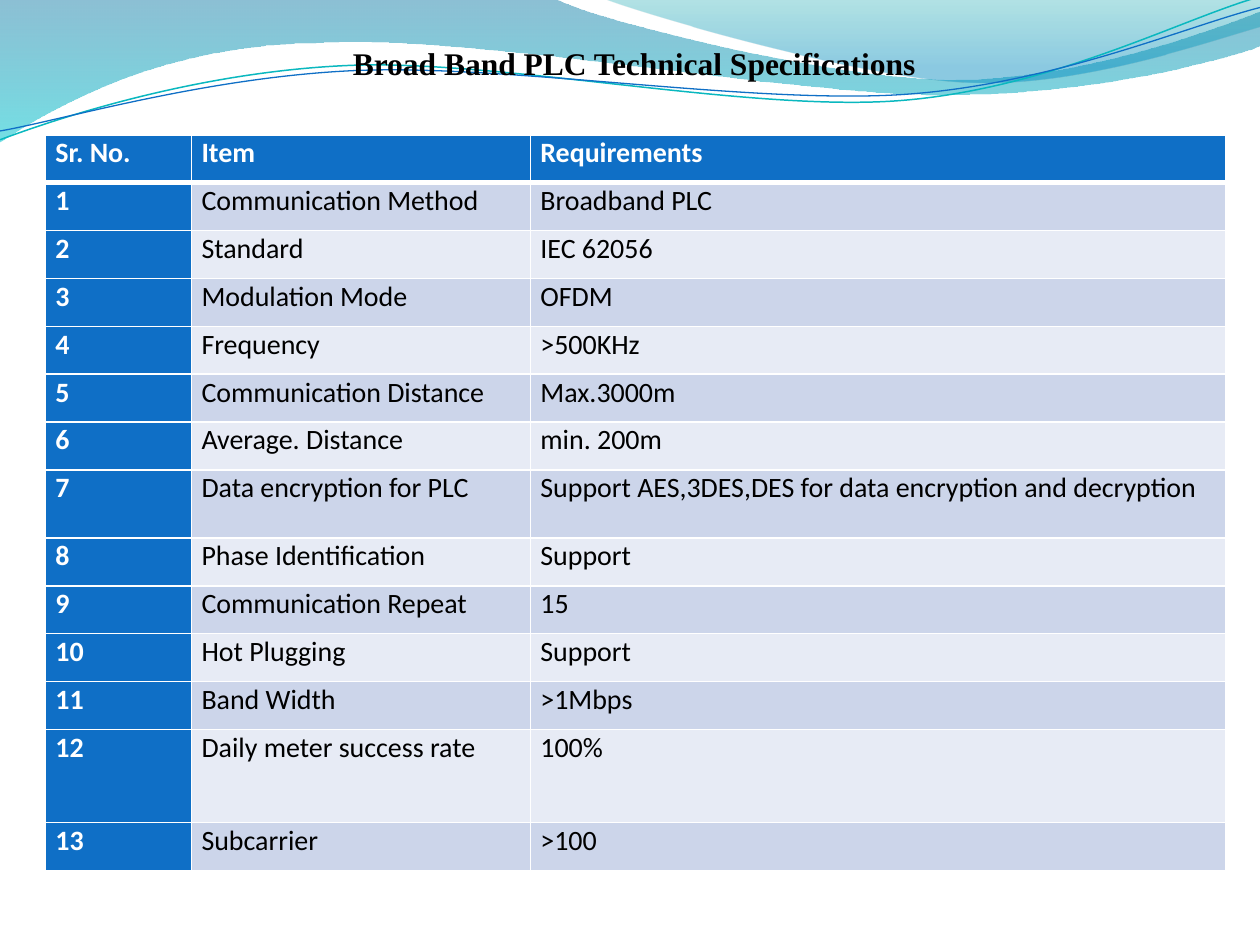
from math import cos, radians, sin

from lxml.etree import SubElement
from pptx import Presentation
from pptx.dml.color import RGBColor
from pptx.enum.text import MSO_AUTO_SIZE, PP_ALIGN
from pptx.oxml.ns import qn
from pptx.util import Inches, Pt

BLACK = RGBColor(0x00, 0x00, 0x00)
WHITE = RGBColor(0xFF, 0xFF, 0xFF)
BLUE = RGBColor(0x0F, 0x6F, 0xC6)
TEAL = RGBColor(0x0A, 0xB8, 0xBF)
BAND_DARK = RGBColor(0xCC, 0xD5, 0xEA)
BAND_LIGHT = RGBColor(0xE7, 0xEB, 0xF5)
WAVE_BLUE = RGBColor(0x00, 0x74, 0xA1)
WAVE_CYAN = RGBColor(0x00, 0xC6, 0xCF)
CREST_GREEN = RGBColor(0x00, 0xA1, 0xA9)
CREST_BLUE = RGBColor(0x00, 0x8B, 0xBF)

WAVE = [
    [(0, -0.01)],
    [(4.4, -0.01)],
    [(4.76, 0.17), (6.64, 0.63), (7.58, 0.63)],
    [(8.53, 0.63), (9.58, 0.26), (10, 0.09)],
    [(10.01, 0.36)],
    [(9.83, 0.44), (8.7, 0.76), (7.46, 0.75)],
    [(6.22, 0.75), (3.82, 0.28), (2.57, 0.34)],
    [(1.29, 0.35), (0.46, 0.83), (-0.01, 1.13)],
    [(0, -0.01)],
]
CREST = [
    [(4.79, -0.01)],
    [(5.09, 0.11), (6.82, 0.62), (7.69, 0.65)],
    [(8.56, 0.69), (9.61, 0.32), (10, 0.21)],
    [(10, 0)],
    [(4.79, -0.01)],
]
TEAL_STRAND = [
    [(0, 1.11)],
    [(0.48, 0.93), (1.58, 0.57), (2.77, 0.52)],
    [(3.95, 0.47), (5.93, 0.89), (7.13, 0.8)],
    [(8.33, 0.71), (9.38, 0.15), (9.98, -0.02)],
]
BLUE_STRAND = [
    [(0, 1.04)],
    [(0.47, 0.96), (1.64, 0.61), (2.83, 0.56)],
    [(4.03, 0.51), (5.97, 0.83), (7.17, 0.75)],
    [(8.36, 0.67), (9.41, 0.21), (10, 0.06)],
]
STRAND_TILT = 2.7
STRAND_CENTER = (5, 0.58)

HEADINGS = ("Sr. No.", "Item", "Requirements")
SPECIFICATIONS = [
    ("Communication Method", "Broadband PLC"),
    ("Standard", "IEC 62056"),
    ("Modulation Mode", "OFDM"),
    ("Frequency", ">500KHz"),
    ("Communication Distance", "Max.3000m"),
    ("Average. Distance", "min. 200m"),
    ("Data encryption for PLC", "Support AES,3DES,DES for data encryption and decryption"),
    ("Phase Identification", "Support"),
    ("Communication Repeat", "15"),
    ("Hot Plugging", "Support"),
    ("Band Width", ">1Mbps"),
    ("Daily meter success rate", "100%"),
    ("Subcarrier", ">100"),
]
COLUMN_WIDTHS = (1.16, 2.69, 5.52)
ROW_HEIGHT = 0.38
TALL_ROWS = {7: 0.54, 12: 0.74}


def set_all(target, values):
    for name, value in values.items():
        setattr(target, name, value)


def level(point):
    angle = radians(STRAND_TILT)
    x, y = (value - middle for value, middle in zip(point, STRAND_CENTER))
    return (STRAND_CENTER[0] + x * cos(angle) - y * sin(angle),
            STRAND_CENTER[1] + x * sin(angle) + y * cos(angle))


class SlideBuilder:
    title_font = {"name": "Times New Roman", "size": Pt(18), "bold": True}
    table_font = {"name": "Calibri", "size": Pt(16)}
    cell_margins = {"margin_left": Inches(0.08), "margin_right": Inches(0.07),
                    "margin_top": Inches(0.01), "margin_bottom": 0}

    def __init__(self, page):
        self.page = page

    def curve(self, segments, close):
        outline = [[(Inches(x), Inches(y)) for x, y in segment] for segment in segments]
        builder = self.page.shapes.build_freeform(*outline[0][0])
        builder.add_line_segments([segment[-1] for segment in outline[1:]], close=close)
        shape = builder.convert_to_shape()
        shape.shadow.inherit = False
        for straight, segment in zip(list(shape.element.iter(qn("a:lnTo"))), outline[1:]):
            if len(segment) == 3:
                straight.tag = qn("a:cubicBezTo")
                straight.clear()
                for x, y in segment:
                    SubElement(straight, qn("a:pt"), x=str(x - shape.left), y=str(y - shape.top))
        return shape

    def wave(self, segments, stops):
        shape = self.curve(segments, close=True)
        shape.line.fill.background()
        shape.fill.gradient()
        shape.fill.gradient_angle = 270
        for stop, (position, color, opacity) in zip(shape.fill.gradient_stops, stops):
            stop.position = position
            stop.color.rgb = color
        tints = shape.element.spPr.iter(qn("a:srgbClr"))
        for tint, (position, color, opacity) in zip(tints, stops):
            SubElement(tint, qn("a:alpha"), val=str(opacity * 1000))

    def strand(self, segments, color, width):
        shape = self.curve([[level(point) for point in segment] for segment in segments], close=False)
        shape.rotation = -STRAND_TILT
        shape.fill.background()
        shape.line.color.rgb = color
        shape.line.width = Pt(width)

    def text(self, frame, words, color, font, layout):
        para = frame.paragraphs[0]
        set_all(para, layout)
        span = para.add_run()
        span.text = words
        set_all(span.font, font)
        span.font.color.rgb = color

    def title(self, words, left, top, width, height):
        box = self.page.shapes.add_textbox(Inches(left), Inches(top), Inches(width), Inches(height))
        set_all(box.text_frame, {"word_wrap": True, "auto_size": MSO_AUTO_SIZE.SHAPE_TO_FIT_TEXT})
        self.text(box.text_frame, words, BLACK, self.title_font,
                  {"alignment": PP_ALIGN.CENTER, "line_spacing": 1.3})

    def borders(self, cell, widths):
        properties = cell._tc.get_or_add_tcPr()
        for side, width in widths.items():
            line = SubElement(properties, qn(f"a:ln{side}"), w=str(Pt(width)))
            fill = SubElement(line, qn("a:solidFill"))
            SubElement(fill, qn("a:srgbClr"), val=str(WHITE))

    def cell(self, cell, words, row, column):
        accent = row == 0 or column == 0
        self.borders(cell, {"L": 1, "R": 1, "T": 3 if row == 1 else 1, "B": 3 if row == 0 else 1})
        cell.fill.solid()
        cell.fill.fore_color.rgb = BLUE if accent else BAND_DARK if row % 2 else BAND_LIGHT
        set_all(cell, self.cell_margins)
        self.text(cell.text_frame, words, WHITE if accent else BLACK,
                  {**self.table_font, "bold": accent}, {"alignment": PP_ALIGN.JUSTIFY})

    def table(self, rows, left, top):
        heights = [TALL_ROWS.get(index, ROW_HEIGHT) for index in range(len(rows))]
        table = self.page.shapes.add_table(
            len(rows), len(COLUMN_WIDTHS), Inches(left), Inches(top),
            Inches(sum(COLUMN_WIDTHS)), Inches(sum(heights))).table
        table.first_col = True
        for column, width in zip(table.columns, COLUMN_WIDTHS):
            column.width = Inches(width)
        for row, height in zip(table.rows, heights):
            row.height = Inches(height)
        for row, entries in enumerate(rows):
            for column, words in enumerate(entries):
                self.cell(table.cell(row, column), words, row, column)


def main():
    deck = Presentation()
    set_all(deck, {"slide_width": Inches(10), "slide_height": Inches(7.5)})
    builder = SlideBuilder(deck.slides.add_slide(deck.slide_layouts[6]))
    builder.wave(WAVE, [(0, WAVE_BLUE, 45), (1, WAVE_CYAN, 55)])
    builder.wave(CREST, [(0, CREST_GREEN, 30), (0.8, CREST_BLUE, 45)])
    builder.strand(TEAL_STRAND, TEAL, 0.85)
    builder.strand(BLUE_STRAND, BLUE, 0.75)
    builder.title("Broad Band PLC Technical Specifications", 0.35, 0.21, 9.37, 0.45)
    numbered = [(str(number), *entry) for number, entry in enumerate(SPECIFICATIONS, 1)]
    builder.table([HEADINGS, *numbered], 0.36, 1.07)
    deck.save("out.pptx")


if __name__ == "__main__":
    main()
